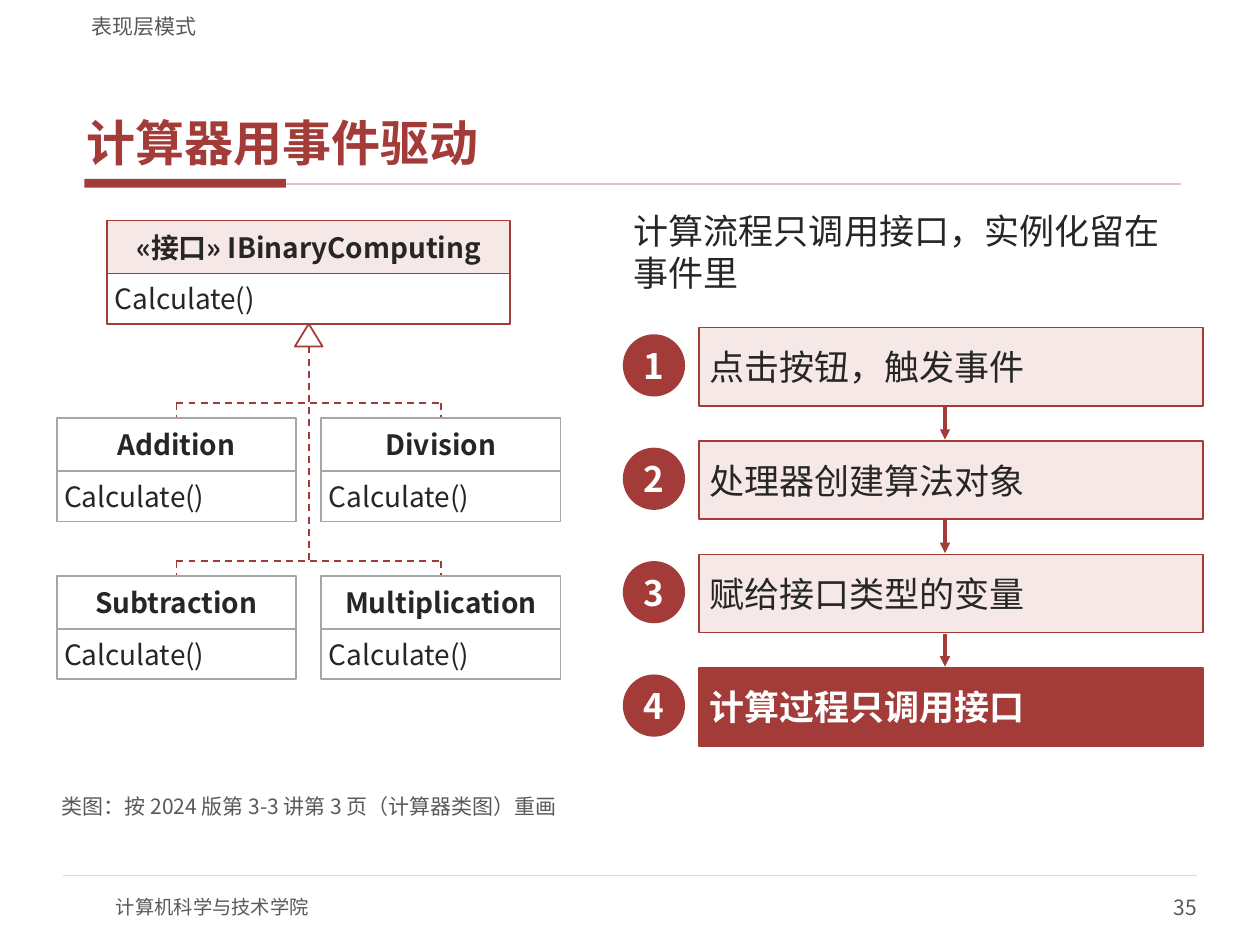
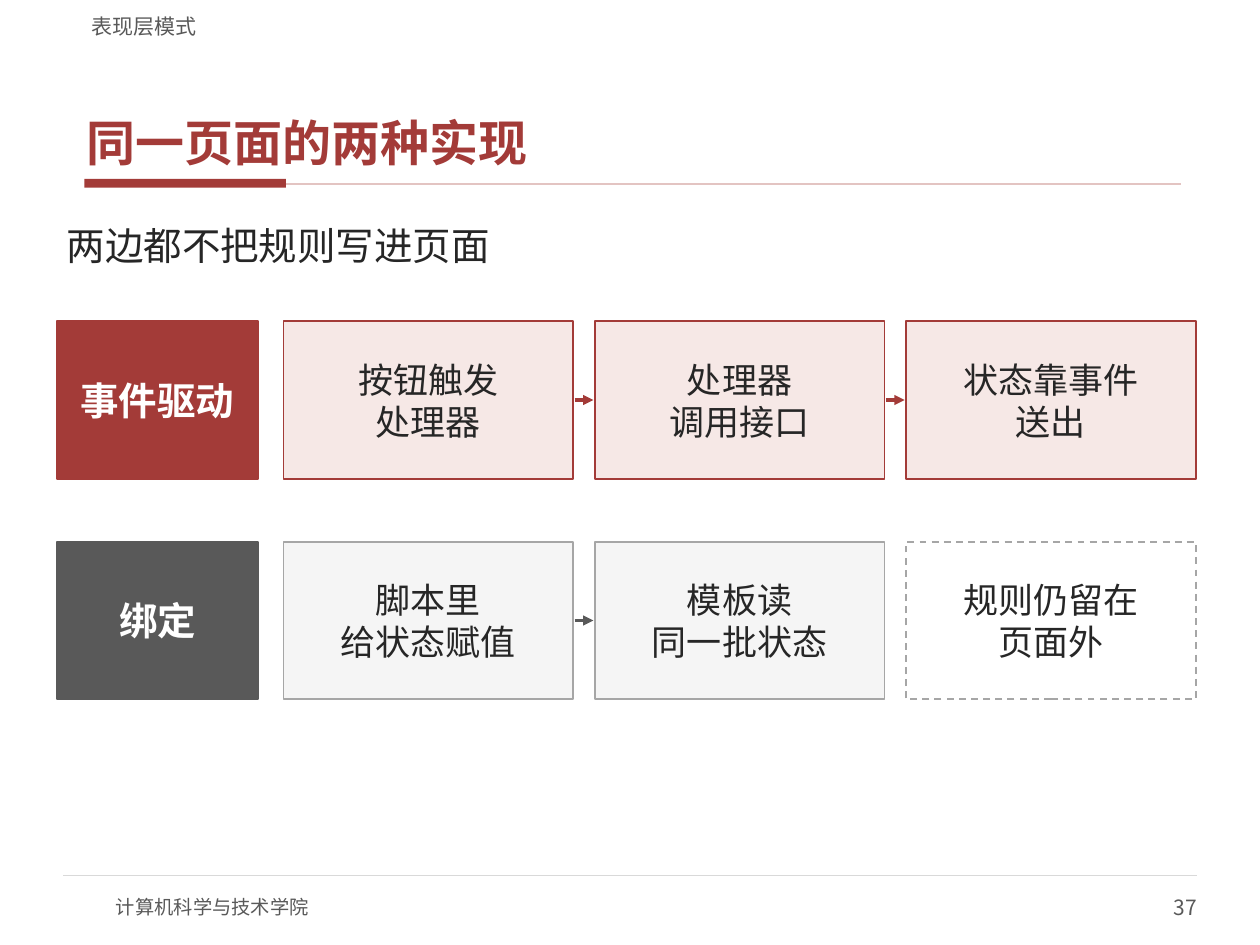
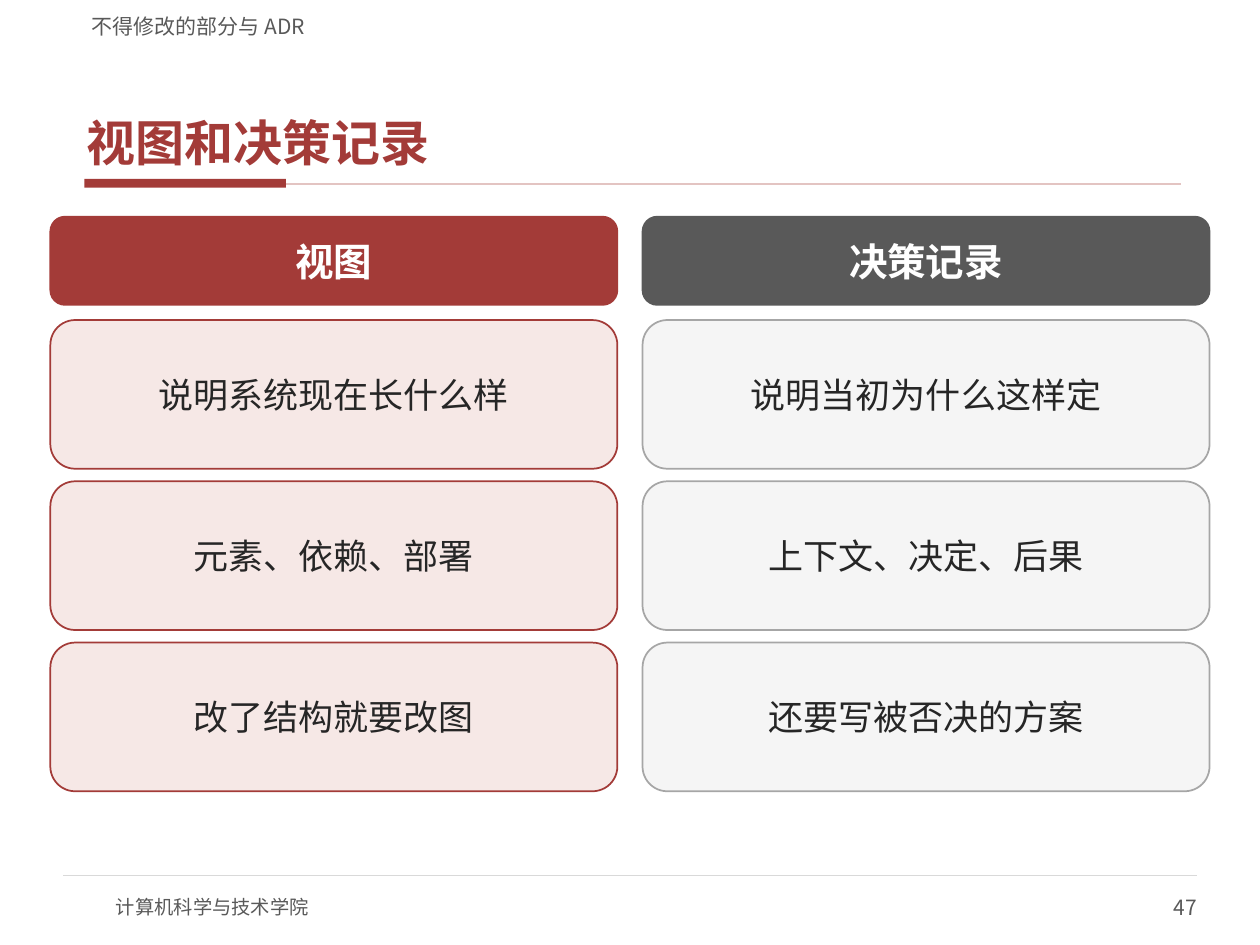
from pptx import Presentation
from pptx.dml.color import RGBColor
from pptx.enum.dml import MSO_LINE_DASH_STYLE as Dash
from pptx.enum.shapes import MSO_CONNECTOR as Connector, MSO_SHAPE as Kind
from pptx.enum.text import MSO_ANCHOR as Anchor, MSO_AUTO_SIZE as AutoSize, PP_ALIGN as Align
from pptx.oxml.ns import qn
from pptx.util import Inches, Pt
from lxml.etree import SubElement

FONT = "Noto Sans CJK SC"
WIDTH, HEIGHT = 10, 7.5
COLORS = {
    "red": "A33B38", "blush": "F6E8E6", "rose": "E3C4C2", "ink": "262626",
    "gray": "595959", "silver": "A6A6A6", "mist": "F5F5F5", "rule": "D9D9D9", "white": "FFFFFF",
}
PALETTE = {name: RGBColor.from_string(value) for name, value in COLORS.items()}


def add_box(page, kind, at, text="", size=20, color="ink", bold=False, align=Align.LEFT,
            anchor=Anchor.MIDDLE, inset=(0.08, 0.04), fill=None, line=None, dashed=False):
    left, top, width, height = [Inches(length) for length in at]
    if kind == "title":
        box = page.shapes.title
        box.left, box.top, box.width, box.height = left, top, width, height
    elif kind == "text":
        box = page.shapes.add_textbox(left, top, width, height)
    else:
        box = page.shapes.add_shape(kind, left, top, width, height)
        box.shadow.inherit = False
        box.fill.solid()
        box.fill.fore_color.rgb = PALETTE[fill]
        if line:
            box.line.color.rgb = PALETTE[line]
            box.line.width = Pt(1)
            if dashed:
                box.line.dash_style = Dash.DASH
        else:
            box.line.fill.background()
    if not text:
        return box
    frame = box.text_frame
    frame.word_wrap = True
    frame.auto_size = AutoSize.NONE
    frame.vertical_anchor = anchor
    frame.margin_left = frame.margin_right = Inches(inset[0])
    frame.margin_top = frame.margin_bottom = Inches(inset[1])
    para = frame.paragraphs[0]
    para.alignment = align
    for index, words in enumerate(text.split("\n")):
        if index:
            para.add_line_break()
        span = para.add_run()
        span.text = words
        span.font.name = FONT
        span.font.size = Pt(size)
        span.font.bold = bold
        span.font.color.rgb = PALETTE[color]
        SubElement(span.font._element, qn("a:ea"), typeface=FONT)
    return box


def add_line(page, start, end, color="red", width=1, dashed=False, arrow=False):
    line = page.shapes.add_connector(Connector.STRAIGHT, *[Inches(n) for n in (*start, *end)])
    line.line.color.rgb = PALETTE[color]
    line.line.width = Pt(width)
    if dashed:
        line.line.dash_style = Dash.DASH
    if arrow:
        SubElement(line.line._get_or_add_ln(), qn("a:tailEnd"), type="triangle")
    SubElement(line._element.spPr, qn("a:effectLst"))


deck = Presentation()
deck.slide_width, deck.slide_height = Inches(WIDTH), Inches(HEIGHT)

pages = []
for chapter, title, number in [
    ("表现层模式", "计算器用事件驱动", "35"),
    ("表现层模式", "同一页面的两种实现", "37"),
    ("不得修改的部分与 ADR", "视图和决策记录", "47"),
]:
    page = deck.slides.add_slide(deck.slide_layouts[5])
    add_box(page, Kind.RECTANGLE, (0.67, 1.42, 1.6, 0.07), fill="red")
    add_line(page, (2.27, 1.46), (9.37, 1.46), "rose")
    add_line(page, (0.5, 6.95), (WIDTH - 0.5, 6.95), "rule", 0.75)
    add_box(page, "text", (0.92, 7, 4, 0.4), "计算机科学与技术学院", 11, "gray", inset=(0, 0))
    add_box(page, "text", (7.5, 7, 2, 0.4), number, 12, "gray", align=Align.RIGHT, inset=(0, 0))
    add_box(page, "title", (0.63, 0.33, 8.75, 1.05), title, 28, "red", True,
            anchor=Anchor.BOTTOM, inset=(0.06, 0.02))
    page.shapes.title.text_frame.paragraphs[0].space_after = Pt(2)
    add_box(page, "text", (0.63, 0.04, 8.75, 0.27), chapter, 12, "gray",
            anchor=Anchor.BOTTOM, inset=(0.1, 0))
    pages.append(page)

calculator, comparison, records = pages

add_box(calculator, "text", (4.95, 1.62, 4.6, 0.85), "计算流程只调用接口，实例化留在事件里",
        anchor=Anchor.TOP)
axis, class_width, name_height, method_height = 2.45, 1.9, 0.42, 0.4
class_columns = [0.45, 2.55]
class_rows = [3.32, 4.57]
classes = [(0.85, 1.75, 3.2, "«接口» IBinaryComputing", "blush", "red")]
for top, names in zip(class_rows, [("Addition", "Division"), ("Subtraction", "Multiplication")]):
    for left, name in zip(class_columns, names):
        classes.append((left, top, class_width, name, "white", "silver"))

add_box(calculator, Kind.ISOSCELES_TRIANGLE, (axis - 0.11, 2.57, 0.22, 0.18), fill="white", line="red")
add_line(calculator, (axis, 2.75), (axis, class_rows[-1] - 0.12), dashed=True)
for top in class_rows:
    branch = top - 0.12
    ends = [axis - 1.05, axis + 1.05]
    add_line(calculator, (ends[0], branch), (ends[1], branch), dashed=True)
    for end in ends:
        add_line(calculator, (end, branch), (end, top), dashed=True)

for left, top, width, name, fill, line in classes:
    add_box(calculator, Kind.RECTANGLE, (left, top, width, name_height), name, 16, bold=True,
            align=Align.CENTER, inset=(0.06, 0.03), fill=fill, line=line)
    add_box(calculator, Kind.RECTANGLE, (left, top + name_height, width, method_height),
            "Calculate()", 16, inset=(0.06, 0.03), fill="white", line=line)

steps = ["点击按钮，触发事件", "处理器创建算法对象", "赋给接口类型的变量", "计算过程只调用接口"]
for index, step in enumerate(steps):
    top = 2.6 + 0.9 * index
    last = index == len(steps) - 1
    add_box(calculator, Kind.OVAL, (4.95, top + 0.06, 0.48, 0.48), str(index + 1), 20, "white", True,
            Align.CENTER, inset=(0, 0), fill="red", line="red")
    add_box(calculator, Kind.RECTANGLE, (5.55, top, 4, 0.62), step, 20, "white" if last else "ink",
            last, fill="red" if last else "blush", line="red")
    if not last:
        add_line(calculator, (7.5, top + 0.63), (7.5, top + 0.89), width=1.75, arrow=True)
add_box(calculator, "text", (0.45, 6.3, 9.1, 0.22), "类图：按 2024 版第 3-3 讲第 3 页（计算器类图）重画",
        12, "gray", anchor=Anchor.BOTTOM, inset=(0.04, 0.02))

add_box(comparison, "text", (0.45, 1.72, 9.1, 0.6), "两边都不把规则写进页面", 22, anchor=Anchor.TOP)
stage_width, stage_pitch, lane_height = 2.3, 2.47, 1.25
lanes = [
    ("事件驱动", ["按钮触发\n处理器", "处理器\n调用接口", "状态靠事件\n送出"], "red", "blush", "red", 2),
    ("绑定", ["脚本里\n给状态赋值", "模板读\n同一批状态", "规则仍留在\n页面外"], "gray", "mist", "silver", 1),
]
for row, (label, stages, accent, fill, line, arrows) in enumerate(lanes):
    top = 2.55 + 1.75 * row
    middle = top + lane_height / 2
    add_box(comparison, Kind.RECTANGLE, (0.45, top, 1.6, lane_height), label, 22, "white", True,
            Align.CENTER, fill=accent, line=accent)
    for column, stage in enumerate(stages):
        left = 2.25 + stage_pitch * column
        outside = column > arrows
        add_box(comparison, Kind.RECTANGLE, (left, top, stage_width, lane_height), stage,
                align=Align.CENTER, fill="white" if outside else fill, line=line, dashed=outside)
        if column < arrows:
            add_line(comparison, (left + stage_width + 0.01, middle), (left + stage_pitch - 0.01, middle),
                     accent, 1.75, arrow=True)

card_width, card_height = 4.5, 1.18
topics = [
    ("视图", ["说明系统现在长什么样", "元素、依赖、部署", "改了结构就要改图"], "red", "blush", "red"),
    ("决策记录", ["说明当初为什么这样定", "上下文、决定、后果", "还要写被否决的方案"], "gray", "mist", "silver"),
]
for column, (heading, cards, accent, fill, line) in enumerate(topics):
    left = 0.4 + (card_width + 0.2) * column
    add_box(records, Kind.ROUNDED_RECTANGLE, (left, 1.72, card_width, 0.7), heading, 22, "white", True,
            Align.CENTER, fill=accent, line=accent)
    for row, card in enumerate(cards):
        top = 2.54 + (card_height + 0.1) * row
        add_box(records, Kind.ROUNDED_RECTANGLE, (left, top, card_width, card_height), card,
                align=Align.CENTER, fill=fill, line=line)

deck.save("out.pptx")
